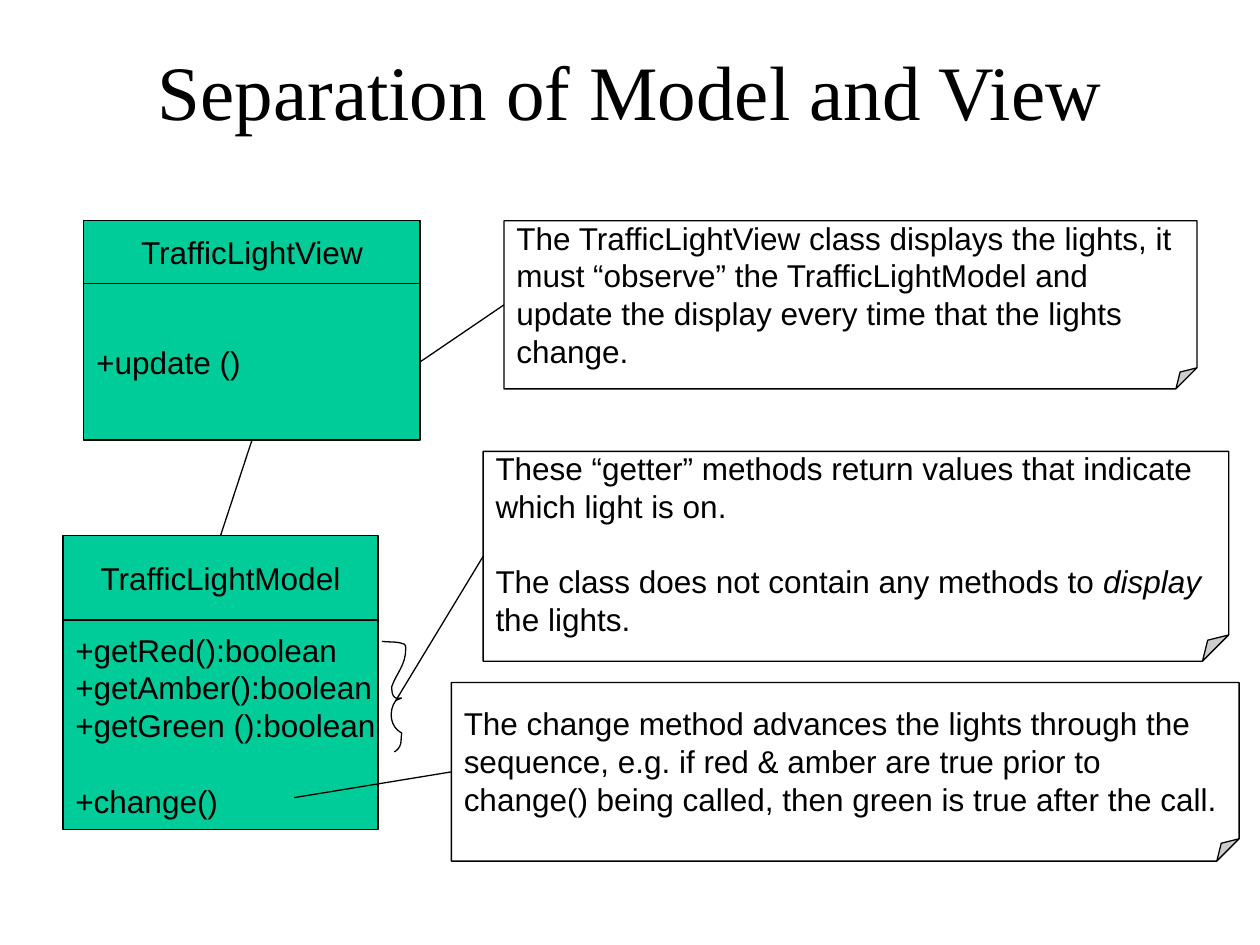
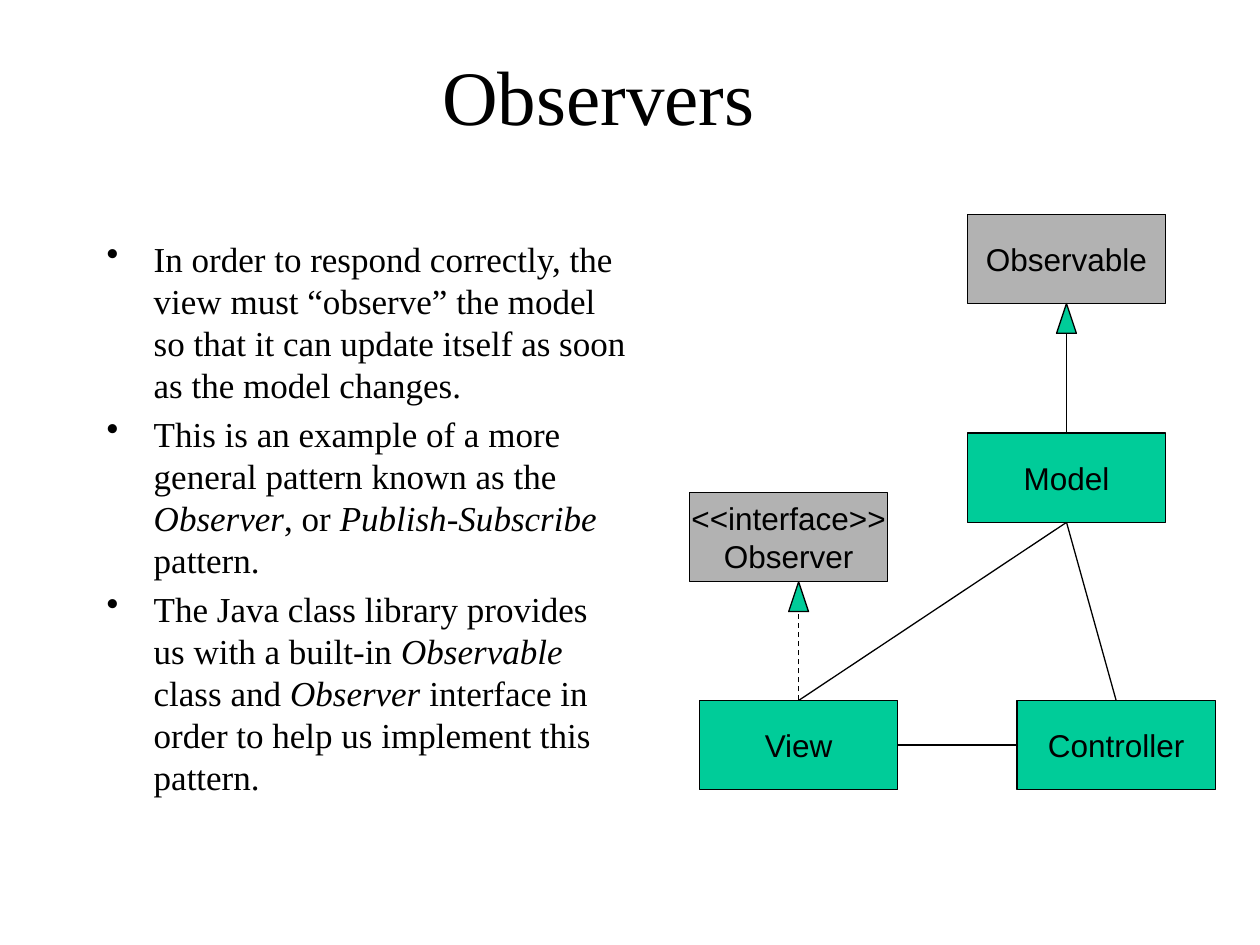
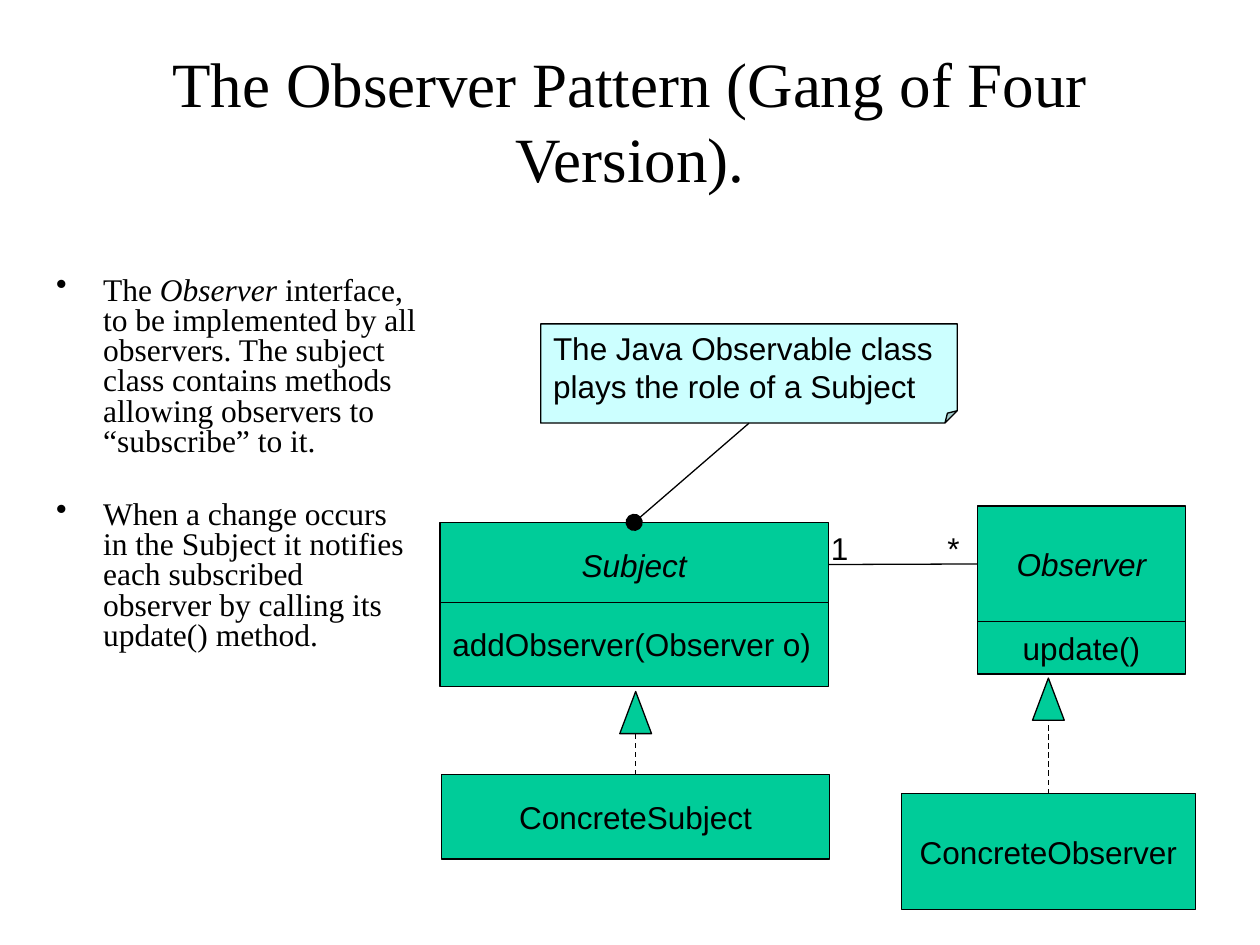
from pptx import Presentation
from pptx.dml.color import RGBColor
from pptx.enum.dml import MSO_LINE
from pptx.enum.shapes import MSO_CONNECTOR, MSO_SHAPE
from pptx.enum.text import MSO_ANCHOR, MSO_AUTO_SIZE, PP_ALIGN
from pptx.oxml.ns import qn
from pptx.util import Cm, Pt
from lxml.etree import SubElement

BLACK = RGBColor(0x00, 0x00, 0x00)
WHITE = RGBColor(0xFF, 0xFF, 0xFF)
GREEN = RGBColor(0x00, 0xCC, 0x99)
GREY = RGBColor(0xB2, 0xB2, 0xB2)
PALE_BLUE = RGBColor(0xCC, 0xFF, 0xFF)

SERIF, SANS = "Times New Roman", "Arial"
LINE_WIDTH = Pt(0.75)
BLANK_LINE = Pt(21.5)
TITLE_ONLY = 5
LEFT, CENTER = PP_ALIGN.LEFT, PP_ALIGN.CENTER


def apply(obj, values):
    for name, value in values.items():
        setattr(obj, name, value)


def write(tf, lines, size=18, font=SANS, **para_format):
    """Fill a text frame, one paragraph a line; _underscores_ mark italics."""
    for i, line in enumerate(lines):
        p = tf.paragraphs[0] if i == 0 else tf.add_paragraph()
        apply(p, para_format)
        for j, part in enumerate(line.split("_")):
            if part:
                r = p.add_run()
                r.text = part
                apply(r.font, {"name": font, "size": Pt(size), "italic": j % 2 == 1})
                r.font.color.rgb = BLACK


def at(x, y):
    return Cm(x), Cm(y)


def top(sp):
    return sp.left + sp.width // 2, sp.top


def bottom(sp):
    return sp.left + sp.width // 2, sp.top + sp.height


def left(sp):
    return sp.left, sp.top + sp.height // 2


def right(sp):
    return sp.left + sp.width, sp.top + sp.height // 2


def outline(sp):
    sp.line.color.rgb = BLACK
    sp.line.width = LINE_WIDTH


def add_slide(prs, title, y=0.76, w=22.86, size=44):
    slide = prs.slides.add_slide(prs.slide_layouts[TITLE_ONLY])
    sp = slide.shapes.title
    apply(sp, {"left": Cm(1.27), "top": Cm(y), "width": Cm(w), "height": Cm(3.18)})
    apply(sp.text_frame, {"word_wrap": True, "auto_size": MSO_AUTO_SIZE.NONE,
                          "vertical_anchor": MSO_ANCHOR.TOP})
    write(sp.text_frame, [title], size, SERIF, alignment=CENTER)
    return slide


def add_bullets(slide, x, y, w, h, lines, size, **para_format):
    tf = slide.shapes.add_textbox(Cm(x), Cm(y), Cm(w), Cm(h)).text_frame
    tf.word_wrap = True
    write(tf, lines, size, SERIF, **para_format)
    for p in tf.paragraphs:
        pPr = p._p.get_or_add_pPr()
        pPr.set("marL", str(Cm(0.95)))
        pPr.set("indent", str(-Cm(0.95)))
        SubElement(pPr, qn("a:buChar")).set("char", "•")


def add_filled(slide, kind, x, y, w, h, fill):
    sp = slide.shapes.add_shape(kind, x, y, w, h)
    sp.shadow.inherit = False
    sp.fill.solid()
    sp.fill.fore_color.rgb = fill
    outline(sp)
    return sp


def add_box(slide, x, y, w, h, *lines, fill=GREEN, align=CENTER):
    sp = add_filled(slide, MSO_SHAPE.RECTANGLE, Cm(x), Cm(y), Cm(w), Cm(h), fill)
    sp.text_frame.word_wrap = False
    write(sp.text_frame, lines, alignment=align)
    return sp


def add_note(slide, x, y, w, h, *lines, fill=WHITE):
    sp = add_filled(slide, MSO_SHAPE.FOLDED_CORNER, Cm(x), Cm(y), Cm(w), Cm(h), fill)
    fold = SubElement(next(sp._element.iter(qn("a:avLst"))), qn("a:gd"))
    fold.set("name", "adj")
    fold.set("fmla", "val 12500")
    sp.text_frame.word_wrap = True
    write(sp.text_frame, lines, alignment=LEFT)
    return sp


def add_label(slide, x, y, text):
    tf = slide.shapes.add_textbox(Cm(x), Cm(y), Cm(1.45), Cm(1.02)).text_frame
    tf.word_wrap = True
    write(tf, [text])


def add_line(slide, start, end, dashed=False, dot=False):
    """Draw a straight line, with a round dot at its start if wanted."""
    line = slide.shapes.add_connector(MSO_CONNECTOR.STRAIGHT, *start, *end)
    outline(line)
    if dashed:
        line.line.dash_style = MSO_LINE.DASH
    if dot:
        head = SubElement(next(line._element.iter(qn("a:ln"))), qn("a:headEnd"))
        for name, value in {"type": "oval", "w": "lg", "len": "lg"}.items():
            head.set(name, value)
    SubElement(line._element.spPr, qn("a:effectLst"))


def add_inheritance(slide, child, tip_y, w, h, dashed=False):
    """Draw a UML triangle above the child, joined to it by a line."""
    x, _ = top(child)
    tip = add_filled(slide, MSO_SHAPE.ISOSCELES_TRIANGLE,
                     x - Cm(w) // 2, Cm(tip_y), Cm(w), Cm(h), GREEN)
    add_line(slide, top(child), bottom(tip), dashed)


def add_curve(slide, start, segments, steps=8):
    """Draw an open outline through cubic Bézier segments."""
    points, a = [], start
    for b, c, d in segments:
        for i in range(1, steps + 1):
            t = i / steps
            u = 1 - t
            weights = (u ** 3, 3 * u * u * t, 3 * u * t * t, t ** 3)
            points.append(at(*(sum(k * v for k, v in zip(weights, axis))
                               for axis in zip(a, b, c, d))))
        a = d
    builder = slide.shapes.build_freeform(*at(*start))
    builder.add_line_segments(points, close=False)
    sp = builder.convert_to_shape()
    sp.shadow.inherit = False
    sp.fill.background()
    outline(sp)


def model_and_view(prs):
    slide = add_slide(prs, "Separation of Model and View")
    view = add_box(slide, 1.69, 5.72, 6.78, 3.15, "+update ()", align=LEFT)
    add_box(slide, 1.69, 4.45, 6.78, 1.27, "TrafficLightView")
    methods = add_box(slide, 1.27, 12.5, 6.35, 4.23, "+getRed():boolean", "+getAmber():boolean",
                      "+getGreen ():boolean", "+change()", align=LEFT)
    model = add_box(slide, 1.27, 10.8, 6.35, 1.7, "TrafficLightModel")

    getters_note = add_note(
        slide, 9.74, 9.1, 15.03, 4.23,
        "These “getter” methods return values that indicate which light is on.",
        "The class does not contain any methods to _display _the lights.")
    for sp in (methods, getters_note):
        sp.text_frame.paragraphs[-1].space_before = BLANK_LINE
    add_curve(slide, (7.7, 12.93), [
        ((7.85, 12.95), (8.0, 12.93), (8.13, 12.98)),
        ((8.18, 12.98), (8.18, 13.06), (8.18, 13.08)),
        ((8.18, 13.41), (8.0, 13.56), (7.9, 13.84)),
        ((7.9, 13.92), (7.9, 14.0), (7.95, 14.05)),
        ((8.0, 14.12), (8.23, 14.02), (7.98, 14.12)),
        ((7.82, 14.35), (7.87, 14.66), (8.1, 14.78)),
        ((8.08, 14.88), (8.1, 14.99), (8.05, 15.06)),
        ((8.03, 15.11), (7.95, 15.16), (7.95, 15.16)),
    ])
    add_line(slide, at(7.98, 14.12), left(getters_note))

    change_note = add_note(
        slide, 9.1, 13.76, 15.88, 3.6,
        "The change method advances the lights through the sequence, e.g. if red & amber "
        "are true prior to change() being called, then green is true after the call.")
    add_line(slide, at(5.93, 16.08), left(change_note))

    view_note = add_note(
        slide, 10.16, 4.45, 13.97, 3.39,
        "The TrafficLightView class displays the lights, it must “observe” the "
        "TrafficLightModel and update the display every time that the lights change.")
    add_line(slide, right(view), left(view_note))
    add_line(slide, bottom(view), top(model))


def observers(prs):
    slide = add_slide(prs, "Observers", y=0.85, w=21.59)
    add_bullets(slide, 1.9, 4.66, 10.98, 12.28, [
        "In order to respond correctly, the view must “observe” the model so that it can "
        "update itself as soon as the model changes.",
        "This is an example of a more general pattern known as the _Observer_, or "
        "_Publish-Subscribe_ pattern.",
        "The Java class library provides us with a built-in _Observable_ class and "
        "_Observer_ interface in order to help us implement this pattern.",
    ], 20, space_before=Pt(4))

    size = (4.0, 1.8)
    model = add_box(slide, 19.5, 8.73, *size, "Model")
    controller = add_box(slide, 20.5, 14.12, *size, "Controller")
    view = add_box(slide, 14.1, 14.12, *size, "View")
    add_line(slide, top(view), bottom(model))
    add_line(slide, top(controller), bottom(model))
    add_line(slide, right(view), left(controller))
    add_box(slide, 19.5, 4.32, *size, "Observable", fill=GREY)
    add_box(slide, 13.9, 9.93, *size, "<<interface>>", "Observer", fill=GREY)
    add_inheritance(slide, model, 6.12, 0.4, 0.6)
    add_inheritance(slide, view, 11.73, 0.4, 0.6, dashed=True)


def observer_pattern(prs):
    slide = add_slide(prs, "The Observer Pattern (Gang of Four Version).", size=36)
    add_bullets(slide, 0.88, 5.46, 7.8, 9.65, [
        "The _Observer_ interface, to be implemented by all observers. The subject class "
        "contains methods allowing observers to “subscribe” to it.",
        "When a change occurs in the Subject it notifies each subscribed observer by "
        "calling its update() method.",
    ], 18, space_before=Pt(24.4), line_spacing=0.8)

    observer = add_box(slide, 19.7, 10.2, 4.2, 2.34, "_Observer_")
    add_box(slide, 19.7, 12.53, 4.2, 1.06, "update()")
    concrete_observer = add_box(slide, 18.17, 16.0, 5.93, 2.33, "ConcreteObserver")
    subject = add_box(slide, 8.87, 10.53, 7.83, 1.7, "_Subject_")
    add_box(slide, 8.87, 12.14, 7.83, 1.7, "addObserver(Observer o)", align=LEFT)
    concrete_subject = add_box(slide, 8.9, 15.62, 7.83, 1.7, "ConcreteSubject")
    add_inheritance(slide, concrete_observer, 13.67, 0.64, 0.85, dashed=True)
    add_inheritance(slide, concrete_subject, 13.94, 0.64, 0.85, dashed=True)

    add_line(slide, right(subject), left(observer))
    add_label(slide, 16.5, 10.53, "1")
    add_label(slide, 18.85, 10.53, "*")
    note = add_note(slide, 10.9, 6.53, 8.4, 2.0,
                    "The Java Observable class plays the role of a Subject", fill=PALE_BLUE)
    add_line(slide, top(subject), bottom(note), dot=True)


def main():
    prs = Presentation()
    prs.slide_width, prs.slide_height = Cm(25.4), Cm(19.05)
    model_and_view(prs)
    observers(prs)
    observer_pattern(prs)
    prs.save("out.pptx")


if __name__ == "__main__":
    main()
